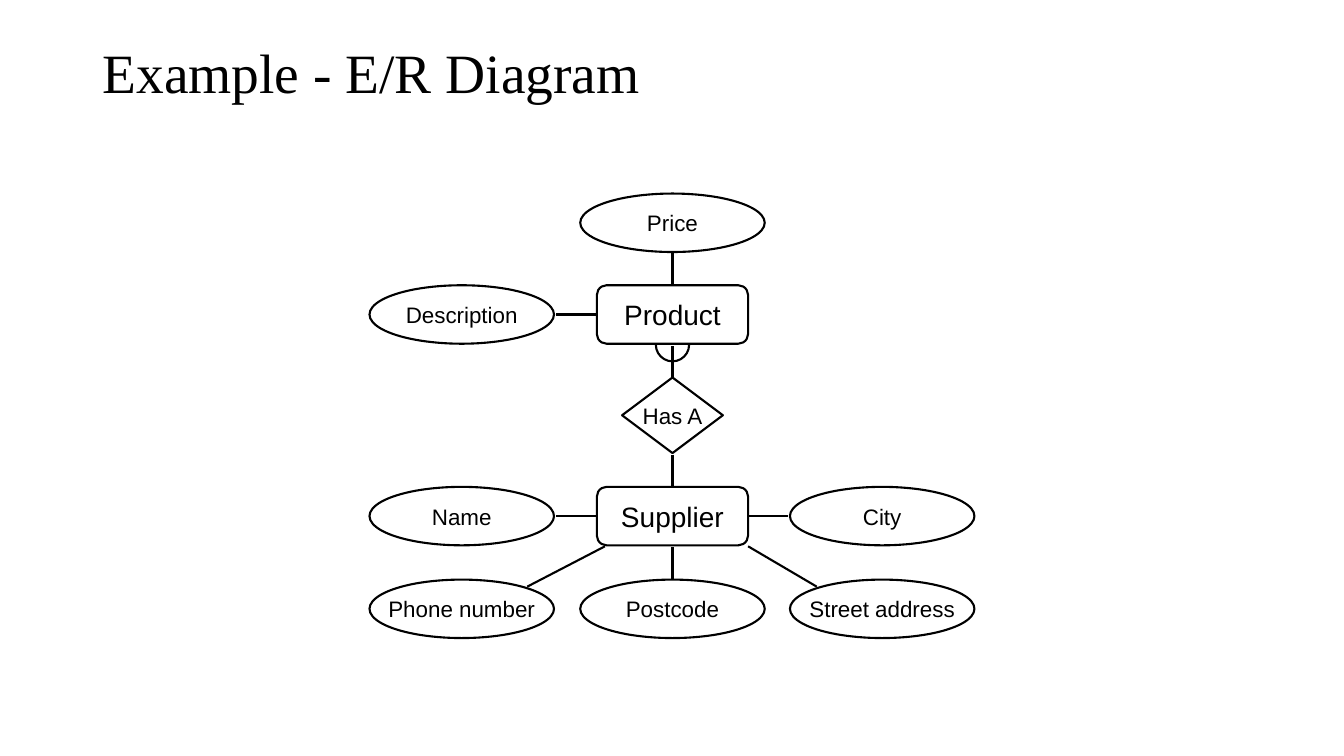
from pptx import Presentation
from pptx.dml.color import RGBColor
from pptx.enum.shapes import MSO_CONNECTOR, MSO_SHAPE
from pptx.enum.text import MSO_ANCHOR, PP_ALIGN
from pptx.oxml.ns import qn
from pptx.util import Inches, Pt

STRAIGHT = MSO_CONNECTOR.STRAIGHT
ENTITY = MSO_SHAPE.ROUNDED_RECTANGLE
ATTRIBUTE = MSO_SHAPE.OVAL
RELATIONSHIP = MSO_SHAPE.DIAMOND
ARC = MSO_SHAPE.ARC
MIDDLE = MSO_ANCHOR.MIDDLE
CENTER = PP_ALIGN.CENTER

BLACK = "000000"
LEFT, MID, RIGHT = 4.58, 6.67, 8.75
PRICE_ROW, PRODUCT_ROW, HAS_ROW, SUPPLIER_ROW, ADDRESS_ROW = 2.21, 3.12, 4.12, 5.12, 6.04
SIZES = {ENTITY: (1.5, 0.58), ATTRIBUTE: (1.83, 0.58), RELATIONSHIP: (1, 0.75)}

NODES = [
    (ENTITY, "Product", MID, PRODUCT_ROW),
    (ENTITY, "Supplier", MID, SUPPLIER_ROW),
    (ATTRIBUTE, "Street address", RIGHT, ADDRESS_ROW),
    (ATTRIBUTE, "City", RIGHT, SUPPLIER_ROW),
    (ATTRIBUTE, "Postcode", MID, ADDRESS_ROW),
    (ATTRIBUTE, "Name", LEFT, SUPPLIER_ROW),
    (ATTRIBUTE, "Phone number", LEFT, ADDRESS_ROW),
    (ATTRIBUTE, "Price", MID, PRICE_ROW),
    (ATTRIBUTE, "Description", LEFT, PRODUCT_ROW),
    (RELATIONSHIP, "Has A", MID, HAS_ROW),
]
LINKS = [
    (MID, 4.51, MID, 4.82),
    (MID, 3.74, MID, 3.43),
    (MID, 2.82, MID, 2.51),
    (5.91, PRODUCT_ROW, 5.51, PRODUCT_ROW),
    (5.91, SUPPLIER_ROW, 5.51, SUPPLIER_ROW),
    (6, 5.42, 5.23, 5.82),
    (MID, 5.43, MID, 5.74),
    (7.43, SUPPLIER_ROW, 7.82, SUPPLIER_ROW),
    (7.42, 5.42, 8.1, 5.82),
]


def color(value):
    return RGBColor.from_string(value)


def add_text(para, text, font, size):
    span = para.add_run()
    span.text = text
    span.font.name = font
    span.font.size = Pt(size)
    span.font.color.rgb = color(BLACK)


def outline(line):
    line.color.rgb = color(BLACK)
    line.width = Pt(1.5)


def add_outlined(page, kind, center_x, center_y, width, height):
    shape = page.shapes.add_shape(
        kind, Inches(center_x - width / 2), Inches(center_y - height / 2),
        Inches(width), Inches(height))
    shape.shadow.inherit = False
    shape.fill.background()
    outline(shape.line)
    return shape


def add_title(page, text):
    box = page.shapes.add_textbox(Inches(0.92), Inches(0.4), Inches(11.5), Inches(0.69))
    frame = box.text_frame
    frame.word_wrap = True
    frame.vertical_anchor = MIDDLE
    para = frame.paragraphs[0]
    para.line_spacing = 0.9
    add_text(para, text, "Times New Roman", 39.6)


def add_node(page, kind, text, center_x, center_y):
    node = add_outlined(page, kind, center_x, center_y, *SIZES[kind])
    frame = node.text_frame
    frame.word_wrap = False
    frame.vertical_anchor = MIDDLE
    para = frame.paragraphs[0]
    para.alignment = CENTER
    add_text(para, text, "Arial", 20 if kind == ENTITY else 16)


def add_link(page, *ends):
    link = page.shapes.add_connector(STRAIGHT, *map(Inches, ends))
    outline(link.line)
    properties = link._element.spPr
    properties.append(properties.makeelement(qn("a:effectLst"), {}))


def add_half_circle(page, center_x, center_y, diameter):
    arc = add_outlined(page, ARC, center_x, center_y, diameter, diameter)
    arc.adjustments[0] = 0
    arc.adjustments[1] = 108


def main():
    deck = Presentation()
    deck.slide_width = Inches(13.33)
    deck.slide_height = Inches(7.5)
    page = deck.slides.add_slide(deck.slide_layouts[6])
    add_title(page, "Example - E/R Diagram")
    for node in NODES:
        add_node(page, *node)
    for link in LINKS:
        add_link(page, *link)
    add_half_circle(page, MID, 3.42, 0.33)
    deck.save("out.pptx")


if __name__ == "__main__":
    main()
